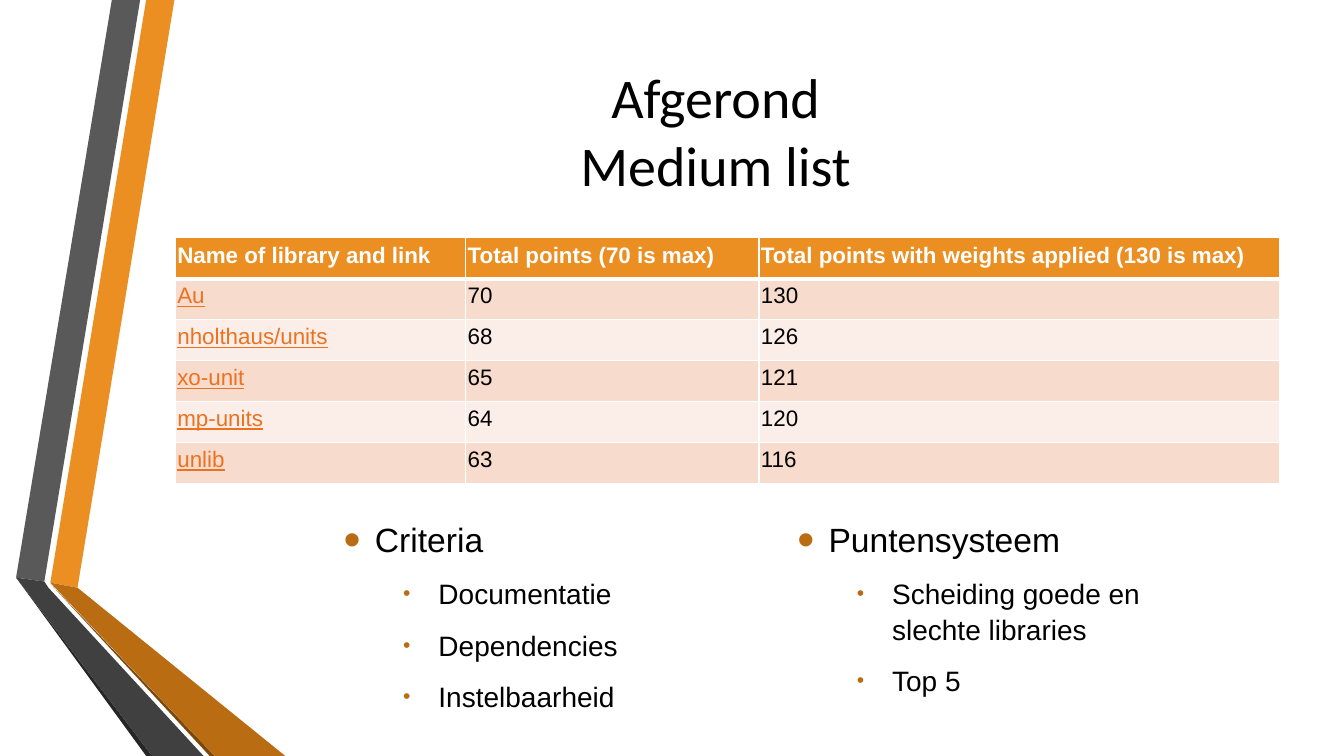
from lxml.etree import SubElement
from pptx import Presentation
from pptx.dml.color import RGBColor
from pptx.enum.text import MSO_ANCHOR as Anchor, MSO_AUTO_SIZE as AutoSize, PP_ALIGN as Align
from pptx.oxml.ns import qn
from pptx.util import Pt

# Content
COLORS = {
    "white": "FFFFFF", "black": "000000", "orange": "EB8F22", "link": "EC7220",
    "brown": "B96C11", "dark brown": "7B480B", "grey": "595959",
    "charcoal": "404040", "near black": "262626",
    "row dark": "F7DBCD", "row light": "FBEEE8",
}
TITLE = "Afgerond\vMedium list"
SCORES = [
    ("Name of library and link", "Total points (70 is max)",
     "Total points with weights applied (130 is max)"),
    ("Au", "70", "130"),
    ("nholthaus/units", "68", "126"),
    ("xo-unit", "65", "121"),
    ("mp-units", "64", "120"),
    ("unlib", "63", "116"),
]
LISTS = [
    ("Criteria", ["Documentatie", "Dependencies", "Instelbaarheid"]),
    ("Puntensysteem", ["Scheiding goede en slechte libraries", "Top 5"]),
]
RIBBONS = [
    ("orange", [(36, 416.2), (55.4, 419.8), (124.6, 0), (104.4, 0)]),
    ("grey", [(100.1, 0), (79.9, 0), (11.5, 412.6), (31.7, 415.4)]),
    ("near black", [(11.5, 412.6), (104.4, 540), (108.7, 540)]),
    ("dark brown", [(36, 416.9), (149.8, 540), (153.4, 540)]),
    ("brown", [(36, 416.2), (153.4, 540), (203.8, 540), (55.4, 419.8)]),
    ("charcoal", [(145.4, 540), (34.6, 419.8), (31.7, 415.4), (11.5, 412.6), (108.7, 540)]),
]

# Layout in points
SLIDE_SIZE = (960, 540)
TITLE_BOX = (116.6, 23.8, 789.1, 138.2)
TABLE_LEFT, TABLE_TOP, ROW_HEIGHT = 125.3, 169.9, 29.2
COLUMN_WIDTHS = [207.4, 209.5, 372.2]
LIST_LEFT, LIST_STEP, LIST_TOP, LIST_WIDTH, LIST_HEIGHT = 238.3, 324, 365.8, 301.7, 192.2
# Per level: text size, space before, left margin, hanging indent, bullet percent
LEVELS = [(24, 10.6, 22.3, 22.3, 145), (20, 11.3, 67.7, 25.2, 75)]


def rgb(name):
    return RGBColor.from_string(COLORS[name])


def write(paragraph, text, size=16, font="Arial", color="black", bold=False,
          underline=False, align=Align.LEFT, before=0, after=0, spacing=1.0):
    paragraph.text = text
    paragraph.alignment = align
    paragraph.space_before, paragraph.space_after = Pt(before), Pt(after)
    paragraph.line_spacing = spacing
    for run in paragraph.runs:
        run.font.size, run.font.name = Pt(size), font
        run.font.bold, run.font.underline = bold, underline
        run.font.color.rgb = rgb(color)


def add_bullet(paragraph, margin, hanging, percent):
    properties = paragraph._p.get_or_add_pPr()
    properties.set("marL", str(Pt(margin)))
    properties.set("indent", str(-Pt(hanging)))
    color = SubElement(properties, qn("a:buClr"))
    SubElement(color, qn("a:srgbClr"), val=COLORS["brown"])
    SubElement(properties, qn("a:buSzPct"), val=str(percent * 1000))
    SubElement(properties, qn("a:buFont"), typeface="Arial")
    SubElement(properties, qn("a:buChar"), char="•")


def add_border(cell, side, width):
    line = SubElement(cell._tc.get_or_add_tcPr(), qn(f"a:ln{side}"), w=str(Pt(width)))
    fill = SubElement(line, qn("a:solidFill"))
    SubElement(fill, qn("a:srgbClr"), val=COLORS["white"])


def place(shape, left, top, width, height):
    """Position a placeholder and bring it to the front."""
    shape.left, shape.top = Pt(left), Pt(top)
    shape.width, shape.height = Pt(width), Pt(height)
    shape.text_frame.auto_size = AutoSize.NONE
    shape.element.getparent().append(shape.element)


presentation = Presentation()
presentation.slide_width, presentation.slide_height = map(Pt, SLIDE_SIZE)
slide = presentation.slides.add_slide(presentation.slide_layouts[3])
title, *bodies = slide.placeholders

# Folded ribbons on the left
for color, points in RIBBONS:
    corners = [(Pt(x), Pt(y)) for x, y in points]
    builder = slide.shapes.build_freeform(*corners[0])
    builder.add_line_segments(corners[1:])
    ribbon = builder.convert_to_shape()
    ribbon.shadow.inherit = False
    ribbon.fill.solid()
    ribbon.fill.fore_color.rgb = rgb(color)
    ribbon.line.fill.background()

# Title
place(title, *TITLE_BOX)
title.text_frame.vertical_anchor = Anchor.MIDDLE
write(title.text_frame.paragraphs[0], TITLE, size=40, font="Calibri", align=Align.CENTER)

# Score table
table = slide.shapes.add_table(
    len(SCORES), len(COLUMN_WIDTHS), Pt(TABLE_LEFT), Pt(TABLE_TOP),
    Pt(sum(COLUMN_WIDTHS)), Pt(ROW_HEIGHT * len(SCORES))).table
for column, width in zip(table.columns, COLUMN_WIDTHS):
    column.width = Pt(width)
for row_index, row in enumerate(SCORES):
    header = row_index == 0
    fill = "orange" if header else "row dark" if row_index % 2 else "row light"
    for column_index, text in enumerate(row):
        cell = table.cell(row_index, column_index)
        cell.margin_left = cell.margin_right = Pt(1.4)
        cell.margin_top = cell.margin_bottom = Pt(3.6)
        for side in "LRTB":
            heavy = (header and side == "B") or (row_index == 1 and side == "T")
            add_border(cell, side, 3 if heavy else 0.96)
        cell.fill.solid()
        cell.fill.fore_color.rgb = rgb(fill)
        link = column_index == 0 and not header
        write(cell.text_frame.paragraphs[0], text, bold=header, underline=link,
              color="white" if header else "link" if link else "black",
              align=Align.JUSTIFY, after=6)

# Bulleted lists
for index, (body, (heading, items)) in enumerate(zip(bodies, LISTS)):
    place(body, LIST_LEFT + index * LIST_STEP, LIST_TOP, LIST_WIDTH, LIST_HEIGHT)
    frame = body.text_frame
    frame.vertical_anchor = Anchor.TOP
    for number, text in enumerate([heading, *items]):
        paragraph = frame.add_paragraph() if number else frame.paragraphs[0]
        paragraph.level = min(number, 1)
        size, before, margin, hanging, percent = LEVELS[paragraph.level]
        write(paragraph, text, size=size, before=before, spacing=1.05)
        add_bullet(paragraph, margin, hanging, percent)

presentation.save("out.pptx")
